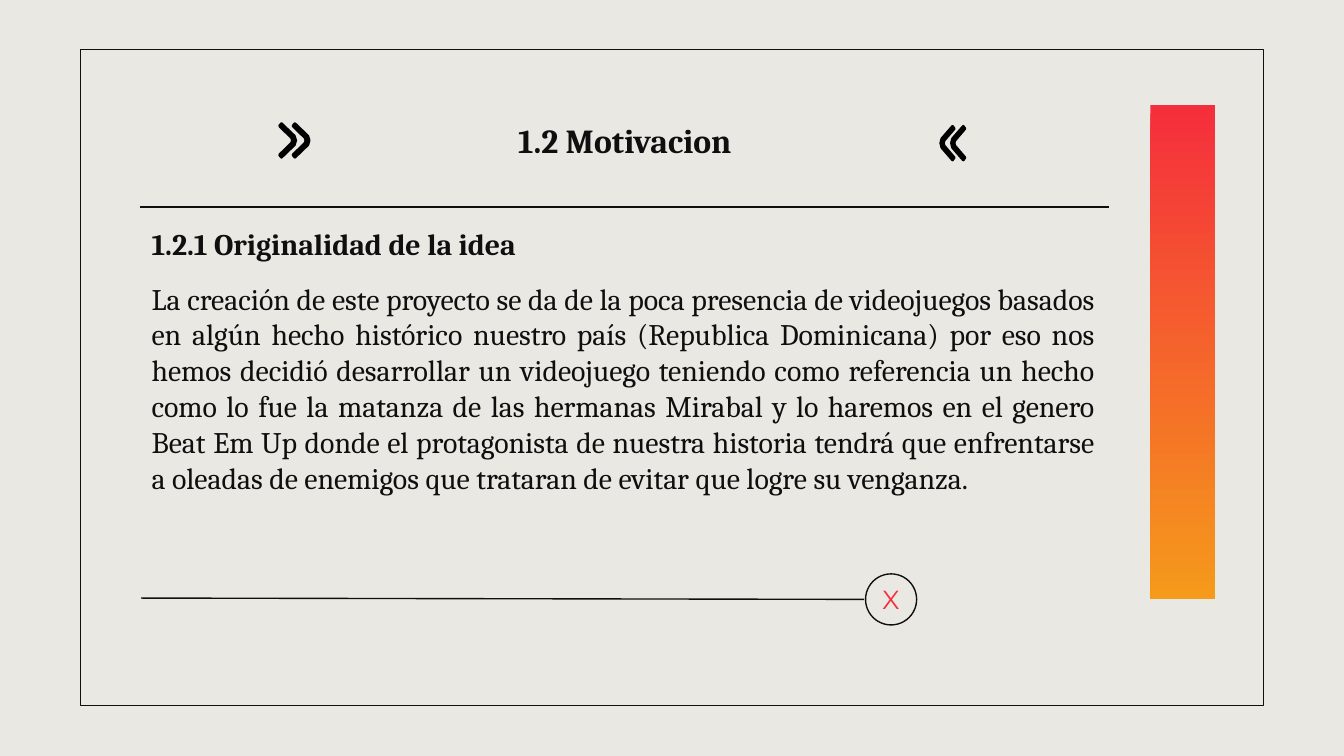
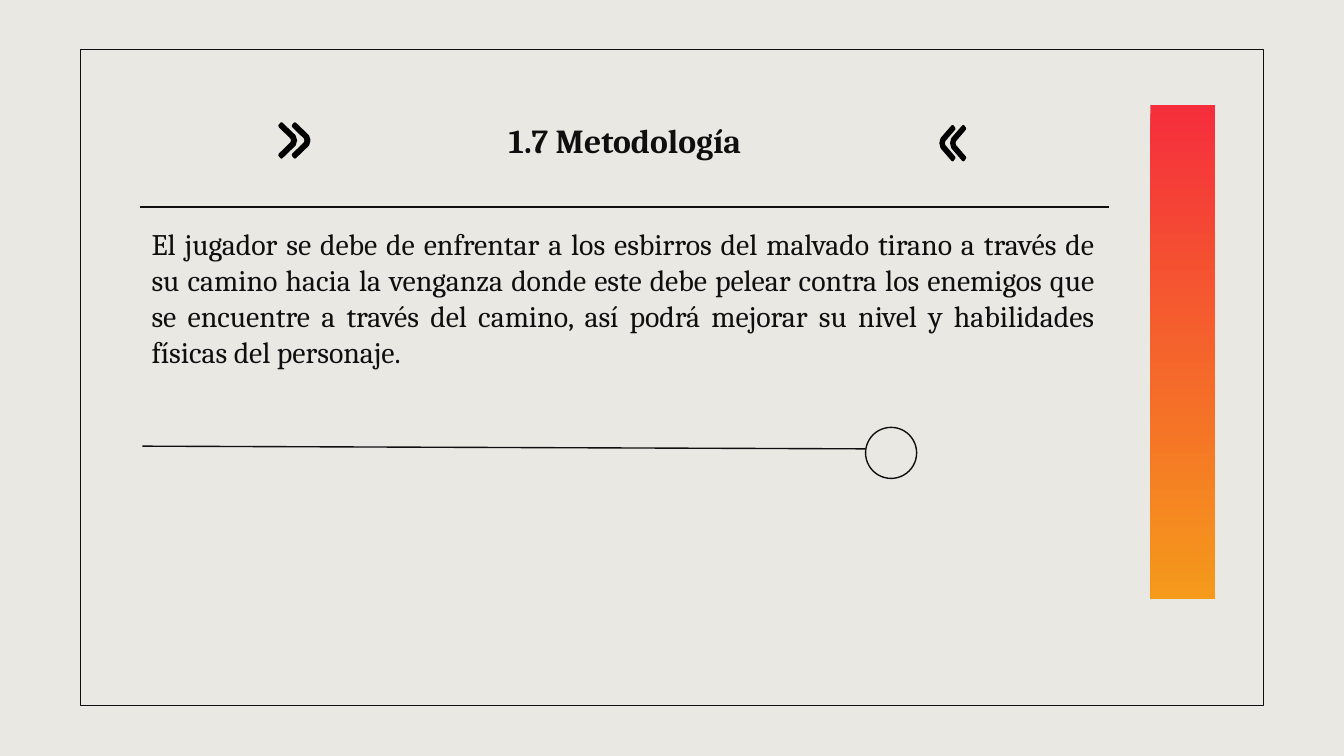
from pptx import Presentation
from pptx.dml.color import RGBColor
from pptx.enum.shapes import MSO_CONNECTOR as Conn, MSO_SHAPE as Kind
from pptx.enum.text import MSO_ANCHOR as Anchor, MSO_AUTO_SIZE as Auto, PP_ALIGN as Align
from pptx.oxml import parse_xml
from pptx.oxml.ns import nsdecls
from pptx.util import Inches, Pt

# Content: each paragraph is (text, bold, alignment)
SLIDES = [
    {
        "title": "1.2 Motivacion",
        "body": [
            ("1.2.1 Originalidad de la idea", True, Align.LEFT),
            ("La creación de este proyecto se da de la poca presencia de videojuegos "
             "basados en algún hecho histórico nuestro país (Republica Dominicana) por "
             "eso nos hemos decidió desarrollar un videojuego teniendo como referencia "
             "un hecho como lo fue la matanza de las hermanas Mirabal y lo haremos en "
             "el genero Beat Em Up donde el protagonista de nuestra historia tendrá que "
             "enfrentarse a oleadas de enemigos que trataran de evitar que logre su "
             "venganza.", False, Align.JUSTIFY),
        ],
        "rule": (1.05, 4.45, 6.43, 4.46),
        "ring": 4.27,
        "mark": "X",
    },
    {
        "title": "1.7 Metodología",
        "body": [
            ("El jugador se debe de enfrentar a los esbirros del malvado tirano a través "
             "de su camino hacia la venganza donde este debe pelear contra los enemigos "
             "que se encuentre a través del camino, así podrá mejorar su nivel y "
             "habilidades físicas del personaje.", False, Align.JUSTIFY),
        ],
        "rule": (1.06, 3.32, 6.44, 3.34),
        "ring": 3.18,
        "mark": None,
    },
]

# Shared style
PAPER, INK, BLACK, RED, AMBER = "E9E8E3", "100E0E", "000000", "F52E3C", "F59A1B"
SERIF, SANS = "Cambria", "Montserrat"

# Chevron arm outline, as shares of its width and height, pointing right
ARM = [(0, .07), (.12, 0), (.92, .37), (1, .5), (.92, .63), (.12, 1),
       (0, .93), (.75, .58), (.8, .5), (.75, .42)]
# Each pair of chevrons: top, arm width, left edges, whether it points left
PAIRS = [(.92, .12, (2.08, 2.18), False), (.94, .1, (7, 7.08), True)]


def color(code):
    return RGBColor.from_string(code)


def inches(*nums):
    return [Inches(n) for n in nums]


def write(frame, paras, size=16, font=SERIF, tone=INK, anchor=Anchor.TOP,
          indent=0, before=0):
    frame.word_wrap = True
    frame.auto_size = Auto.NONE
    frame.vertical_anchor = anchor
    frame.margin_left = frame.margin_right = Inches(.1)
    frame.margin_top = frame.margin_bottom = Inches(.1)
    for i, (text, bold, align) in enumerate(paras):
        para = frame.add_paragraph() if i else frame.paragraphs[0]
        para.alignment = align
        para.space_before = Pt(before)
        props = para._p.get_or_add_pPr()
        props.set("marL", str(Inches(indent)))
        props.set("indent", "0")
        run = para.add_run()
        run.text = text
        run.font.size, run.font.name, run.font.bold = Pt(size), font, bold
        run.font.color.rgb = color(tone)


def outline(shape, tone=INK, width=.75):
    shape.line.color.rgb = color(tone)
    shape.line.width = Pt(width)


def hollow(slide, kind, *box):
    shape = slide.shapes.add_shape(kind, *inches(*box))
    shape.shadow.inherit = False
    shape.fill.background()
    outline(shape)


def rule(slide, *ends):
    line = slide.shapes.add_connector(Conn.STRAIGHT, *inches(*ends))
    outline(line)
    line._element.spPr.append(parse_xml(f"<a:effectLst {nsdecls('a')}/>"))


def chevrons(slide, top, width, lefts, flip):
    group = slide.shapes.add_group_shape()
    for left in lefts:
        pts = [(Inches(left + width * (1 - x if flip else x)), Inches(top + .25 * y))
               for x, y in ARM]
        path = group.shapes.build_freeform(*pts[0])
        path.add_line_segments(pts[1:], close=True)
        arm = path.convert_to_shape()
        arm.shadow.inherit = False
        arm.fill.solid()
        arm.fill.fore_color.rgb = color(INK)
        outline(arm, BLACK, 1.5)


def band(slide):
    bar = slide.shapes.add_shape(Kind.RECTANGLE, *inches(8.56, .78, .48, 3.68))
    bar.shadow.inherit = False
    bar.line.fill.background()
    bar.fill.gradient()
    bar.fill.gradient_angle = 270
    for stop, tone, place in zip(bar.fill.gradient_stops, (RED, AMBER), (0, 1)):
        stop.color.rgb = color(tone)
        stop.position = place


def build(deck, data):
    slide = deck.slides.add_slide(deck.slide_layouts[5])
    hollow(slide, Kind.RECTANGLE, .6, .37, 8.8, 4.88)

    # Title between chevrons, with a line below
    title = slide.shapes.title
    title.left, title.top, title.width, title.height = inches(1.05, .73, 7.2, .63)
    write(title.text_frame, [(data["title"], True, Align.CENTER)], size=18,
          anchor=Anchor.MIDDLE)
    for pair in PAIRS:
        chevrons(slide, *pair)
    rule(slide, 1.04, 1.54, 8.25, 1.54)

    # Body
    body = slide.shapes.add_textbox(*inches(.88, 1.58, 7.37, 2.76))
    write(body.text_frame, data["body"], indent=.15, before=10)

    # Closing line with its ring
    rule(slide, *data["rule"])
    hollow(slide, Kind.OVAL, 6.44, data["ring"], .38, .38)
    if data["mark"]:
        mark = slide.shapes.add_textbox(*inches(6.36, data["ring"] + .06, .54, .26))
        write(mark.text_frame, [(data["mark"], False, Align.CENTER)], size=14,
              font=SANS, tone=RED, anchor=Anchor.MIDDLE)

    band(slide)


def main():
    deck = Presentation()
    deck.slide_width = Inches(10)
    deck.slide_height = Inches(10 * 9 / 16)
    back = deck.slide_master.background.fill
    back.solid()
    back.fore_color.rgb = color(PAPER)
    for data in SLIDES:
        build(deck, data)
    deck.save("out.pptx")


if __name__ == "__main__":
    main()
